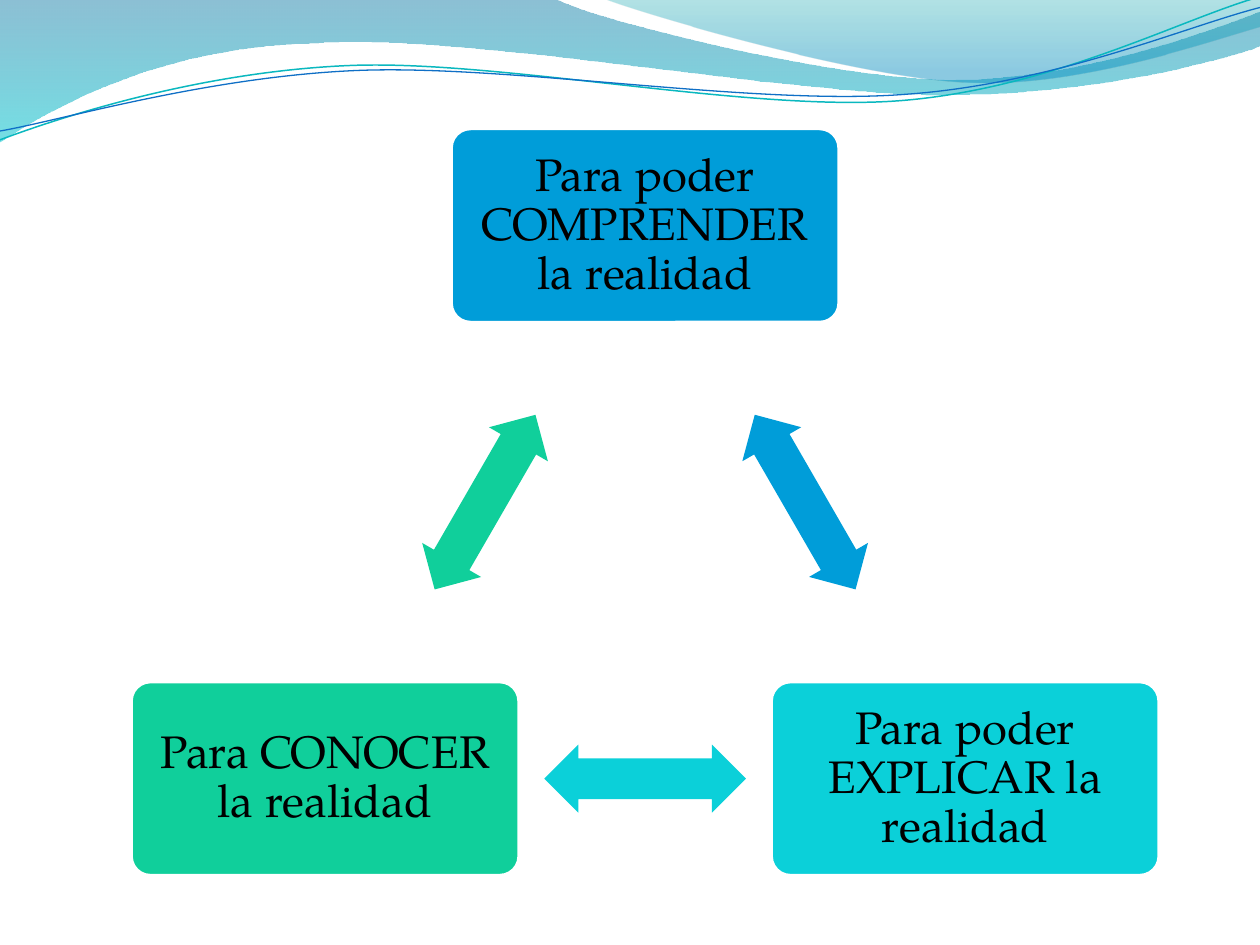
from math import cos, radians, sin

from pptx import Presentation
from pptx.dml.color import RGBColor
from pptx.enum.shapes import MSO_SHAPE as Preset
from pptx.enum.text import MSO_ANCHOR as Anchor, PP_ALIGN as Align
from pptx.oxml.xmlchemy import OxmlElement
from pptx.util import Inches, Pt

BLUE = RGBColor(0x00, 0x9D, 0xD9)
CYAN = RGBColor(0x0B, 0xD0, 0xD9)
GREEN = RGBColor(0x10, 0xCF, 0x9B)
WHITE = RGBColor(0xFF, 0xFF, 0xFF)
BLACK = RGBColor(0x00, 0x00, 0x00)
DEEP_BLUE = RGBColor(0x00, 0x74, 0xA1)
AQUA = RGBColor(0x00, 0xC6, 0xCF)
TEAL = RGBColor(0x00, 0xA1, 0xA9)
SEA_BLUE = RGBColor(0x00, 0x8B, 0xBF)
TEAL_LINE = RGBColor(0x0A, 0xB8, 0xBF)
BLUE_LINE = RGBColor(0x0F, 0x6F, 0xC6)
FONT = "TeX Gyre Pagella"
TILT = 2.7


def add_outline(shapes, segments, close):
    points = [(Inches(x), Inches(y)) for segment in segments for x, y in segment]
    builder = shapes.build_freeform(*points[0])
    builder.add_line_segments(points[1:], close=close)
    outline = builder.convert_to_shape()
    outline.shadow.inherit = False
    corners = iter(outline.element.spPr.xpath(".//a:lnTo"))
    for segment in segments[1:]:
        steps = [next(corners) for point in segment]
        if len(steps) == 3:
            curve = OxmlElement("a:cubicBezTo")
            steps[0].addprevious(curve)
            for step in steps:
                curve.append(step[0])
                step.getparent().remove(step)
    return outline


prs = Presentation()
prs.slide_width, prs.slide_height = Inches(10), Inches(7.5)
slide = prs.slides.add_slide(prs.slide_layouts[6])
shapes = slide.shapes

waves = [
    ([[(0, 0)], [(4.4, -0.01)],
      [(4.76, 0.17), (6.64, 0.63), (7.58, 0.63)],
      [(8.53, 0.63), (9.58, 0.26), (10, 0.09)],
      [(10.01, 0.36)],
      [(9.83, 0.44), (8.7, 0.76), (7.46, 0.75)],
      [(6.22, 0.75), (3.82, 0.28), (2.57, 0.34)],
      [(1.29, 0.36), (0.46, 0.83), (-0.01, 1.13)]],
     [(0, DEEP_BLUE, 45), (1, AQUA, 55)]),
    ([[(4.79, -0.01)],
      [(5.09, 0.11), (6.82, 0.62), (7.69, 0.65)],
      [(8.56, 0.69), (9.61, 0.32), (10, 0.21)],
      [(10, 0)]],
     [(0, TEAL, 30), (0.8, SEA_BLUE, 45)]),
]
for segments, shades in waves:
    wave = add_outline(shapes, segments, True)
    wave.line.fill.background()
    wave.fill.gradient()
    wave.fill.gradient_angle = 270
    for stop, (position, color, opacity) in zip(wave.fill.gradient_stops, shades):
        stop.position = position
        stop.color.rgb = color
    for tint, (position, color, opacity) in zip(
            wave.element.spPr.xpath("./a:gradFill//a:srgbClr"), shades):
        alpha = OxmlElement("a:alpha")
        alpha.set("val", str(opacity * 1000))
        tint.append(alpha)

ripples = [
    ([[(0, 1.11)],
      [(0.48, 0.93), (1.58, 0.57), (2.77, 0.52)],
      [(3.95, 0.47), (5.93, 0.89), (7.13, 0.8)],
      [(8.33, 0.71), (9.38, 0.15), (9.98, -0.02)]],
     (4.99, 0.575), TEAL_LINE, 0.85),
    ([[(0, 1.04)],
      [(0.47, 0.96), (1.64, 0.61), (2.83, 0.56)],
      [(4.03, 0.51), (5.97, 0.84), (7.17, 0.75)],
      [(8.36, 0.67), (9.41, 0.21), (10, 0.06)]],
     (5, 0.59), BLUE_LINE, 0.75),
]
c, s = cos(radians(TILT)), sin(radians(TILT))
for segments, (cx, cy), color, weight in ripples:
    level = [[(cx + (x - cx) * c - (y - cy) * s, cy + (x - cx) * s + (y - cy) * c)
              for x, y in segment] for segment in segments]
    ripple = add_outline(shapes, level, False)
    ripple.rotation = 360 - TILT
    ripple.fill.background()
    ripple.line.color.rgb = color
    ripple.line.width = Pt(weight)

BOX_W, BOX_H = 3.08, 1.54
ARROW_W, ARROW_H = 1.6, 0.54
purposes = [
    ("Para poder COMPRENDER la realidad", 5.12, 1.79, BLUE, 60),
    ("Para poder EXPLICAR la realidad", 7.66, 6.18, CYAN, 180),
    ("Para CONOCER la realidad", 2.58, 6.18, GREEN, 300),
]
for index, (wording, x, y, color, angle) in enumerate(purposes):
    box = shapes.add_shape(Preset.ROUNDED_RECTANGLE, Inches(x - BOX_W / 2),
                           Inches(y - BOX_H / 2), Inches(BOX_W), Inches(BOX_H))
    box.adjustments[0] = 0.1
    box.shadow.inherit = False
    box.fill.solid()
    box.fill.fore_color.rgb = color
    box.line.color.rgb = WHITE
    box.line.width = Pt(2)
    frame = box.text_frame
    frame.word_wrap = True
    frame.vertical_anchor = Anchor.MIDDLE
    frame.margin_left = frame.margin_right = Inches(0.11)
    frame.margin_top = frame.margin_bottom = Inches(0.11)
    paragraph = frame.paragraphs[0]
    paragraph.alignment = Align.CENTER
    paragraph.line_spacing = 0.9
    run = paragraph.add_run()
    run.text = wording
    run.font.name = FONT
    run.font.size = Pt(26)
    run.font.color.rgb = BLACK

    next_x, next_y = purposes[(index + 1) % len(purposes)][1:3]
    arrow = shapes.add_shape(Preset.LEFT_RIGHT_ARROW,
                             Inches((x + next_x - ARROW_W) / 2),
                             Inches((y + next_y - ARROW_H) / 2),
                             Inches(ARROW_W), Inches(ARROW_H))
    arrow.adjustments[0] = 0.6
    arrow.adjustments[1] = 0.5
    arrow.rotation = angle
    arrow.shadow.inherit = False
    arrow.fill.solid()
    arrow.fill.fore_color.rgb = color
    arrow.line.fill.background()

prs.save("out.pptx")
